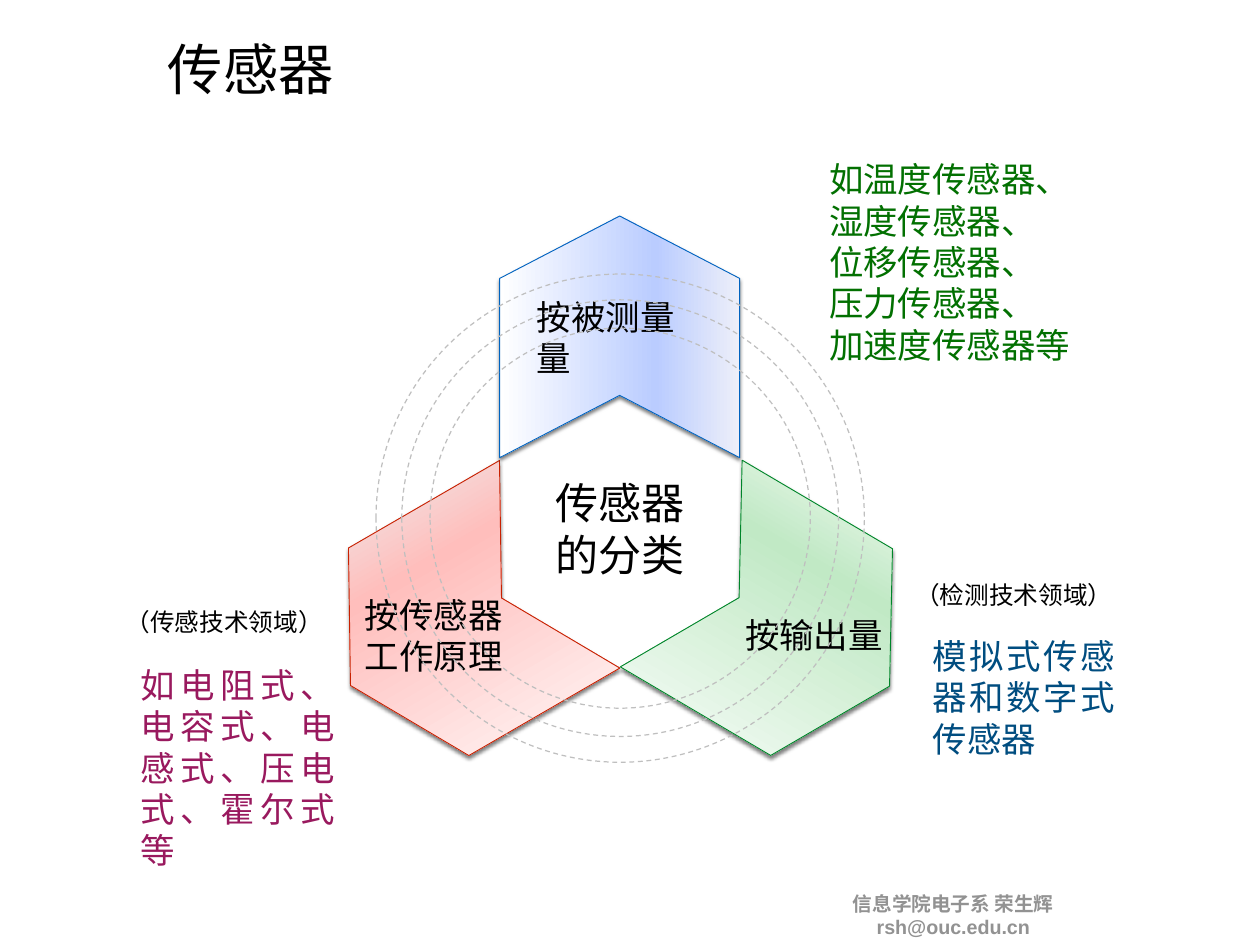
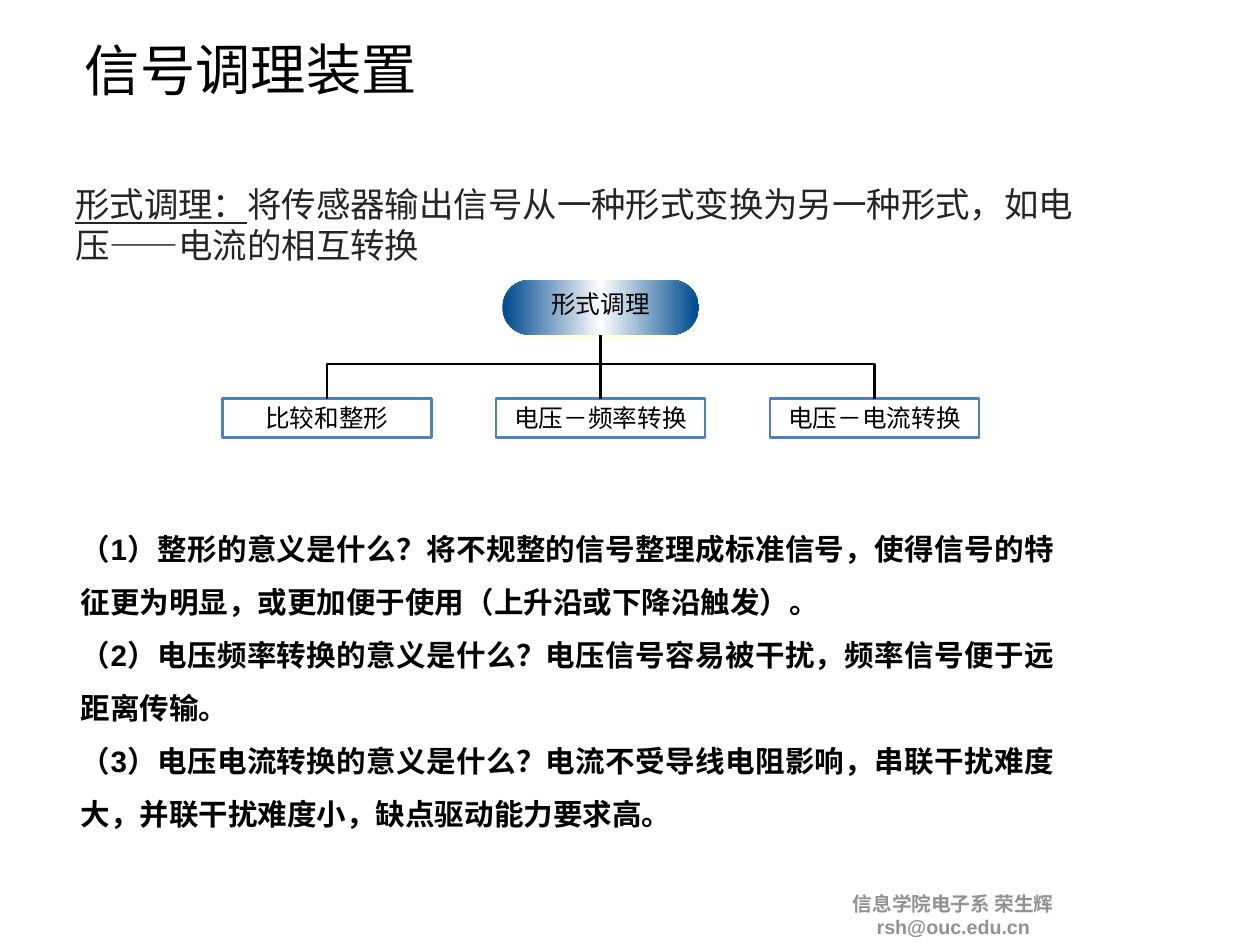
from lxml.etree import SubElement
from pptx import Presentation
from pptx.dml.color import RGBColor
from pptx.enum.dml import MSO_LINE
from pptx.enum.shapes import MSO_CONNECTOR, MSO_SHAPE
from pptx.enum.text import MSO_ANCHOR, MSO_AUTO_SIZE, PP_ALIGN
from pptx.oxml import parse_xml
from pptx.oxml.ns import nsdecls, qn
from pptx.util import Cm, Pt

COLORS = {
    "black": "000000", "white": "FFFFFF", "footer": "929292", "ring": "BFBFBF",
    "green": "027001", "purple": "99195E", "blue": "004D80", "body": "252525",
    "box line": "4F81BD", "pill": "024C90", "pill shadow": "FFFFCC",
    "red edge": "C82101", "green edge": "00852A", "blue edge": "0063BF",
    "red tint": "FFBEBC", "green tint": "C1E9C5", "blue tint": "BACCFF",
    "red pale": "E9F8F9", "blue pale": "EDEFF9",
}
CJK, LATIN = "Noto Sans CJK SC", "Arial"
LEFT, CENTER, JUSTIFY = PP_ALIGN.LEFT, PP_ALIGN.CENTER, PP_ALIGN.JUSTIFY

# Places are left, top, width, height in centimetres
FOOTER = ("信息学院电子系 荣生辉 rsh@ouc.edu.cn", (24.28, 25.54, 6.1, 1.4))
TITLE_PLACE, TITLE_TILT = (1.02, 0.43, 12.34, 3.05), -0.4

EXAMPLES = [
    (["如温度传感器、", "湿度传感器、", "位移传感器、", "压力传感器、", "加速度传感器等"],
     "green", (23.62, 3.84, 8.18, 7.34)),
    (["如电阻式、电容式、电感式、压电式、霍尔式等"], "purple", (3.89, 18.34, 5.87, 7.34)),
    (["模拟式传感器和数字式传感器"], "blue", (26.59, 17.73, 5.51, 4.52)),
]
FIELDS = [("（传感技术领域）", (3.45, 17.2, 5.97, 1.27)),
          ("（检测技术领域）", (26.09, 16.43, 5.97, 1.27))]
# left, top, rotation, notch, gradient stops, gradient angle, edge
CHEVRON_SIZE = (6.93, 6.88)
CHEVRONS = [
    (9.58, 14.48, 149.9, 0.28, ("red pale", "red tint", "white"), 270, "red edge"),
    (19.05, 14.48, 30.5, 0.28, ("white", "green tint", "white"), 90, "green edge"),
    (14.3, 6.22, 270, 0.26, ("blue pale", "blue tint", "white"), 270, "blue edge"),
]
CHEVRON_LABELS = [
    (["按被测量量"], 28, LEFT, (15.24, 8.84, 5.11, 1.65)),
    (["按输出量"], 28, LEFT, (21.21, 17.35, 5.05, 1.7)),
    (["按传感器", "工作原理"], 28, LEFT, (10.31, 16.71, 4.45, 3.02)),
    (["传感器的分类"], 35, CENTER, (15.7, 13.41, 4.14, 3.48)),
]
RING_CENTER, RING_DIAMETERS = (17.78, 14.86), (10.9, 12.52, 14)

DEFINITION = ("形式调理：", "将传感器输出信号从一种形式变换为另一种形式，如电压——电流的相互转换")
TREE_ROOT = "形式调理"
TREE_LEAVES = ["比较和整形", "电压－频率转换", "电压－电流转换"]
TREE_CENTER, LEAF_PITCH, LEAF_TOP, BRANCH_Y = 17.22, 7.85, 11.43, 10.44
LEAF_SIZE = (5.99, 1.12)
QUESTIONS = [
    "（1）整形的意义是什么？将不规整的信号整理成标准信号，使得信号的特征更为明显，或更加便于使用（上升沿或下降沿触发）。",
    "（2）电压频率转换的意义是什么？电压信号容易被干扰，频率信号便于远距离传输。",
    "（3）电压电流转换的意义是什么？电流不受导线电阻影响，串联干扰难度大，并联干扰难度小，缺点驱动能力要求高。",
]


def rgb(name):
    return RGBColor.from_string(COLORS[name])


def cm(values):
    return [Cm(value) for value in values]


def format_text(shape, size, color="black", align=LEFT, font=CJK, bold=False,
                wrap=True, insets=(0.15, 0.15, 0.15, 0.15), spacing=None):
    frame = shape.text_frame
    frame.auto_size = MSO_AUTO_SIZE.NONE
    frame.word_wrap = wrap
    frame.vertical_anchor = MSO_ANCHOR.MIDDLE
    (frame.margin_left, frame.margin_top,
     frame.margin_right, frame.margin_bottom) = cm(insets)
    for paragraph in frame.paragraphs:
        paragraph.alignment = align
        if spacing:
            paragraph.line_spacing = spacing
        for run in paragraph.runs:
            run.font.size, run.font.bold, run.font.name = Pt(size), bold, font
            run.font.color.rgb = rgb(color)
            SubElement(run.font._element, qn("a:ea"), typeface=CJK)


def add_text(slide, lines, place, size, **style):
    box = slide.shapes.add_textbox(*cm(place))
    box.text_frame.text = "\n".join(lines)
    format_text(box, size, **style)
    return box


def add_shape(slide, kind, place, fill=None, line=None, width=1):
    shape = slide.shapes.add_shape(kind, *cm(place))
    shape.shadow.inherit = False
    if fill:
        shape.fill.solid()
        shape.fill.fore_color.rgb = rgb(fill)
    if line:
        shape.line.color.rgb = rgb(line)
        shape.line.width = Pt(width)
    else:
        shape.line.fill.background()
    return shape


def set_gradient(shape, colors, middle, angle):
    stops = "".join(
        f'<a:gs pos="{position * 1000}"><a:srgbClr val="{COLORS[color]}"/></a:gs>'
        for position, color in zip((0, middle, 100), colors))
    gradient = parse_xml(
        f'<a:gradFill {nsdecls("a")} rotWithShape="1"><a:gsLst>{stops}</a:gsLst>'
        f'<a:lin ang="{angle * 60000}" scaled="0"/></a:gradFill>')
    shape.element.spPr.find(qn("a:prstGeom")).addnext(gradient)


def set_shadow(shape, color, blur, distance, angle):
    shadow = parse_xml(
        f'<a:outerShdw {nsdecls("a")} blurRad="{Pt(blur)}" dist="{Pt(distance)}" '
        f'dir="{angle * 60000}" rotWithShape="0"><a:srgbClr val="{COLORS[color]}">'
        '<a:alpha val="50000"/></a:srgbClr></a:outerShdw>')
    shape.element.spPr.find(qn("a:effectLst")).append(shadow)


def add_titled_slide(presentation, layout, title_text):
    slide = presentation.slides.add_slide(layout)
    title = slide.shapes.title
    title.left, title.top, title.width, title.height = cm(TITLE_PLACE)
    title.rotation = TITLE_TILT
    title.text_frame.text = title_text
    format_text(title, 45, align=CENTER)
    return slide


def add_layout_footer(layout, slide):
    """Make the footer on a slide, then move it to the layout all slides share."""
    text, place = FOOTER
    footer = add_text(slide, [text], place, 16, color="footer", align=CENTER,
                      font=LATIN, bold=True)
    layout.shapes.element.append(footer.element)


def fill_sensor_slide(slide):
    for lines, color, place in EXAMPLES:
        add_text(slide, lines, place, 28, color=color, align=JUSTIFY)
    for field, place in FIELDS:
        add_text(slide, [field], place, 20, wrap=False)
    for left, top, rotation, notch, colors, angle, edge in CHEVRONS:
        chevron = add_shape(slide, MSO_SHAPE.CHEVRON, (left, top, *CHEVRON_SIZE),
                            line=edge, width=0.75)
        chevron.adjustments[0] = notch
        chevron.rotation = rotation
        set_gradient(chevron, colors, 35, angle)
        set_shadow(chevron, "black", 3, 2, 90)
    for lines, size, align, place in CHEVRON_LABELS:
        add_text(slide, lines, place, size, align=align)
    center_x, center_y = RING_CENTER
    for diameter in RING_DIAMETERS:
        place = (center_x - diameter / 2, center_y - diameter / 2, diameter, diameter)
        ring = add_shape(slide, MSO_SHAPE.OVAL, place, line="ring")
        ring.fill.background()
        ring.line.dash_style = MSO_LINE.DASH


def add_tree(slide):
    for top, width, height in ((8.03, 5.64, 1.57), (8.13, 5.49, 1.4)):
        pill = add_shape(slide, MSO_SHAPE.ROUNDED_RECTANGLE,
                         (TREE_CENTER - width / 2, top, width, height))
        pill.adjustments[0] = 0.5
        set_gradient(pill, ("pill", "white", "pill"), 50, 0)
        if height > 1.5:
            outer = pill
            set_shadow(outer, "pill shadow", 0, 3.2, 72)
    pill.text_frame.text = TREE_ROOT
    format_text(pill, 20, align=CENTER, insets=(0, 0, 0, 0.25))

    width, height = LEAF_SIZE
    for index, text in enumerate(TREE_LEAVES):
        center = TREE_CENTER + (index - 1) * LEAF_PITCH
        leaf = add_shape(slide, MSO_SHAPE.RECTANGLE,
                         (center - width / 2, LEAF_TOP, width, height),
                         fill="white", line="box line", width=2)
        leaf.text_frame.text = text
        format_text(leaf, 20, align=CENTER, insets=(0, 0, 0, 0))
        if center == TREE_CENTER:
            branch = slide.shapes.add_connector(MSO_CONNECTOR.STRAIGHT, 0, 0, 0, 0)
            branch.begin_connect(outer, 2)
            branch.end_connect(leaf, 0)
            SubElement(branch.element.spPr, qn("a:effectLst"))
        else:
            builder = slide.shapes.build_freeform(Cm(TREE_CENTER), Cm(BRANCH_Y))
            builder.add_line_segments([cm((center, BRANCH_Y)), cm((center, LEAF_TOP))],
                                      close=False)
            branch = builder.convert_to_shape()
            branch.fill.background()
            branch.shadow.inherit = False
        branch.line.color.rgb = rgb("black")
        branch.line.width = Pt(2)


def fill_conditioning_slide(slide):
    term, explanation = DEFINITION
    definition = slide.shapes.add_textbox(*cm((2.01, 5.08, 29.72, 2.72)))
    paragraph = definition.text_frame.paragraphs[0]
    paragraph.text = term
    paragraph.add_run().text = explanation
    format_text(definition, 28, color="body")
    paragraph.runs[0].font.underline = True
    add_tree(slide)
    add_text(slide, QUESTIONS, (2.06, 14.53, 28.42, 9.5), 24, align=JUSTIFY,
             font=LATIN, bold=True, insets=(0.25, 0.13, 0.25, 0.13), spacing=1.5)


def main():
    presentation = Presentation()
    presentation.slide_width, presentation.slide_height = cm((36.12, 27.1))
    layout = presentation.slide_layouts[5]
    sensor_slide = add_titled_slide(presentation, layout, "传感器")
    add_layout_footer(layout, sensor_slide)
    fill_sensor_slide(sensor_slide)
    fill_conditioning_slide(add_titled_slide(presentation, layout, "信号调理装置"))
    presentation.save("out.pptx")


if __name__ == "__main__":
    main()
